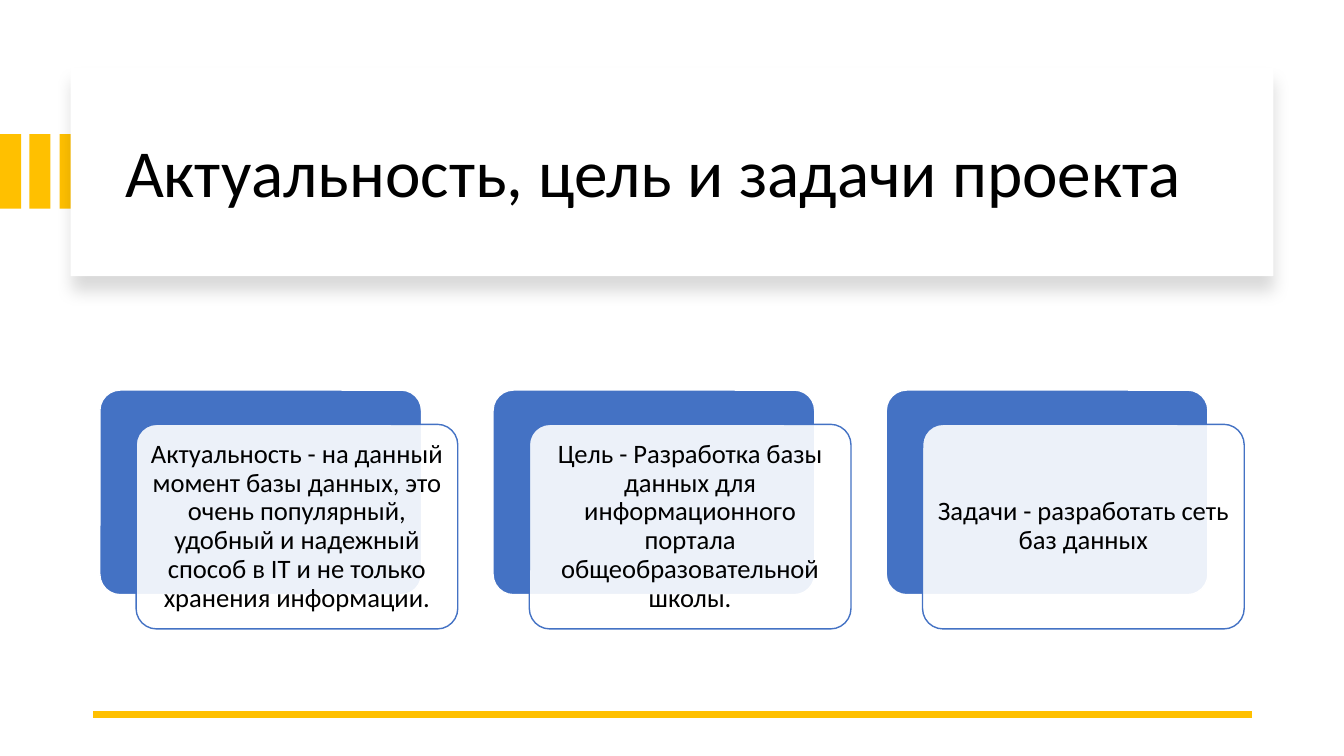
from lxml import etree
from pptx import Presentation
from pptx import util as u
from pptx.dml.color import RGBColor
from pptx.enum import shapes, text
from pptx.oxml import parse_xml
from pptx.oxml.ns import nsdecls, qn

PX = u.Inches(1) // 100  # 100 px to the inch

THEME = {
    "font": "Calibri",
    "title_size": u.Pt(48),
    "card_size": u.Pt(19),
    "text": RGBColor.from_string("000000"),
    "paper": RGBColor.from_string("FFFFFF"),
    "accent": RGBColor.from_string("FFC000"),
    "card": RGBColor.from_string("4472C4"),
}

CARD_TEXTS = [
    "Актуальность - на данный момент базы данных, это очень популярный, "
    "удобный и надежный способ в IT и не только хранения информации.",
    "Цель - Разработка базы данных для информационного портала "
    "общеобразовательной школы.",
    "Задачи - разработать сеть баз данных",
]


def add_box(parent, preset, left, top, width, height, fill, line=None):
    """Add a flat filled shape, outlined at 1 pt when a line colour is given."""
    shape = parent.shapes.add_shape(
        preset, left * PX, top * PX, width * PX, height * PX)
    shape.shadow.inherit = False
    shape.fill.solid()
    shape.fill.fore_color.rgb = THEME[fill]
    if line:
        shape.line.color.rgb = THEME[line]
        shape.line.width = u.Pt(1)
        shape.adjustments[0] = 0.1
    else:
        shape.line.fill.background()
    return shape


def fill_text(shape, wording, size, alignment, inset_x, inset_y):
    frame = shape.text_frame
    frame.text = wording
    frame.word_wrap = True
    frame.auto_size = text.MSO_AUTO_SIZE.NONE
    frame.vertical_anchor = text.MSO_ANCHOR.MIDDLE
    frame.margin_left = frame.margin_right = inset_x * PX
    frame.margin_top = frame.margin_bottom = inset_y * PX
    paragraph = frame.paragraphs[0]
    paragraph.alignment = alignment
    paragraph.line_spacing = 0.9
    paragraph.font.name = THEME["font"]
    paragraph.font.size = THEME[size]
    paragraph.font.color.rgb = THEME["text"]


presentation = Presentation()
presentation.slide_width = 1333 * PX
presentation.slide_height = 750 * PX
slide = presentation.slides.add_slide(presentation.slide_layouts[5])
RECTANGLE = shapes.MSO_SHAPE.RECTANGLE
ROUNDED = shapes.MSO_SHAPE.ROUNDED_RECTANGLE

# Stripes at the left edge
stripes = slide.shapes.add_group_shape()
for left in (0, 29, 59):
    add_box(stripes, RECTANGLE, left, 133, 21, 74, "accent")

# Title panel with a soft shadow below it
panel = add_box(slide, RECTANGLE, 70, 67, 1193, 207, "paper")
effects = panel._element.spPr.find(qn("a:effectLst"))
effects.append(parse_xml(
    f'<a:outerShdw {nsdecls("a")} blurRad="{u.Pt(11)}" dist="{u.Pt(10)}" '
    'dir="5400000" algn="t" rotWithShape="0">'
    '<a:srgbClr val="000000"><a:alpha val="15000"/></a:srgbClr></a:outerShdw>'))

title = slide.shapes.title
title.left, title.top = 114 * PX, 89 * PX
title.width, title.height = 1113 * PX, 170 * PX
fill_text(title, "Актуальность, цель и задачи проекта", "title_size",
          text.PP_ALIGN.LEFT, 10, 5)
panel._element.addnext(title._element)

# Rule at the foot
rule = slide.shapes.add_connector(
    shapes.MSO_CONNECTOR.STRAIGHT, 1242 * PX, 709 * PX, 92 * PX, 709 * PX)
rule.line.color.rgb = THEME["accent"]
rule.line.width = u.Pt(4.5)
etree.SubElement(rule._element.spPr, qn("a:effectLst"))

# Three cards, each a blue plate under a translucent sheet
cards = slide.shapes.add_group_shape()
for index, wording in enumerate(CARD_TEXTS):
    left = 99 + index * 390
    add_box(cards, ROUNDED, left, 387, 319, 203, "card", "paper")
    sheet = add_box(cards, ROUNDED, left + 36, 421, 319, 203, "paper", "card")
    sheet_color = sheet._element.spPr.find(qn("a:solidFill"))[0]
    etree.SubElement(sheet_color, qn("a:alpha"), val="90000")
    label = cards.shapes.add_textbox(
        (left + 42) * PX, 427 * PX, 307 * PX, 191 * PX)
    fill_text(label, wording, "card_size", text.PP_ALIGN.CENTER, 8, 8)

presentation.save("out.pptx")
